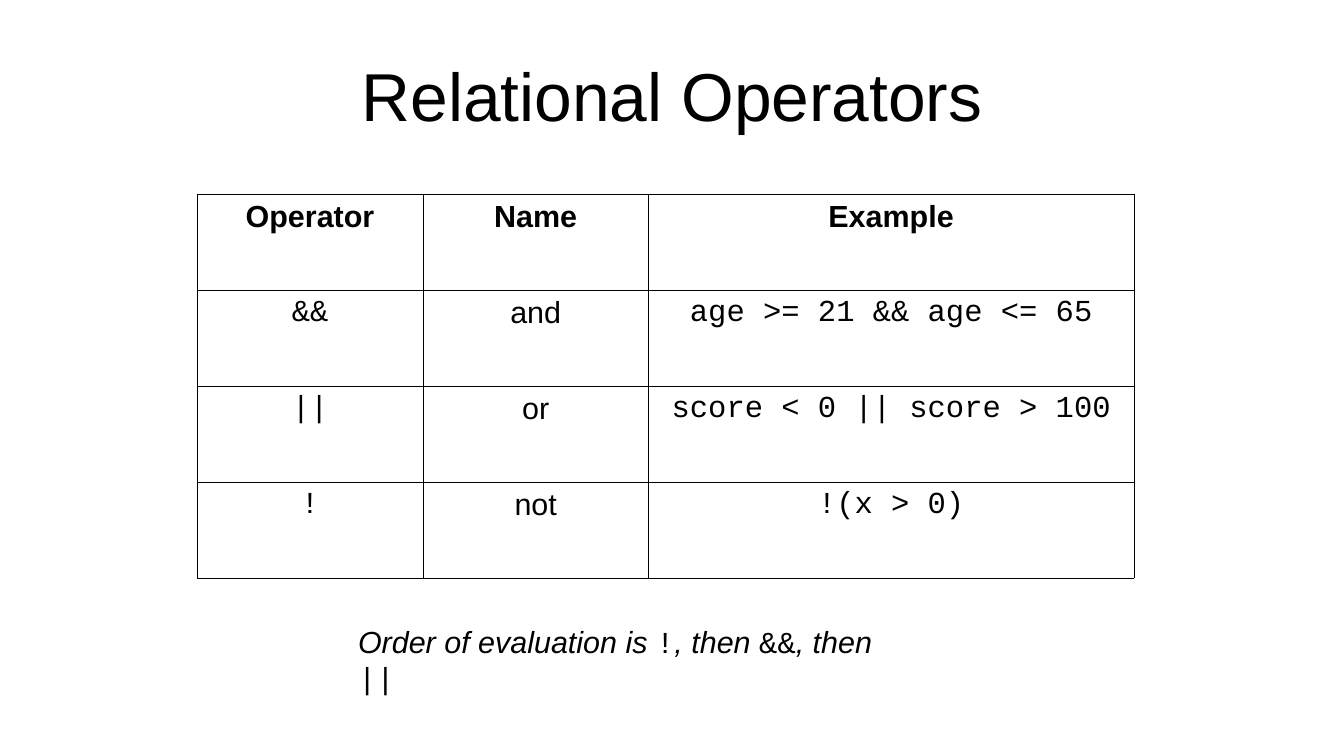
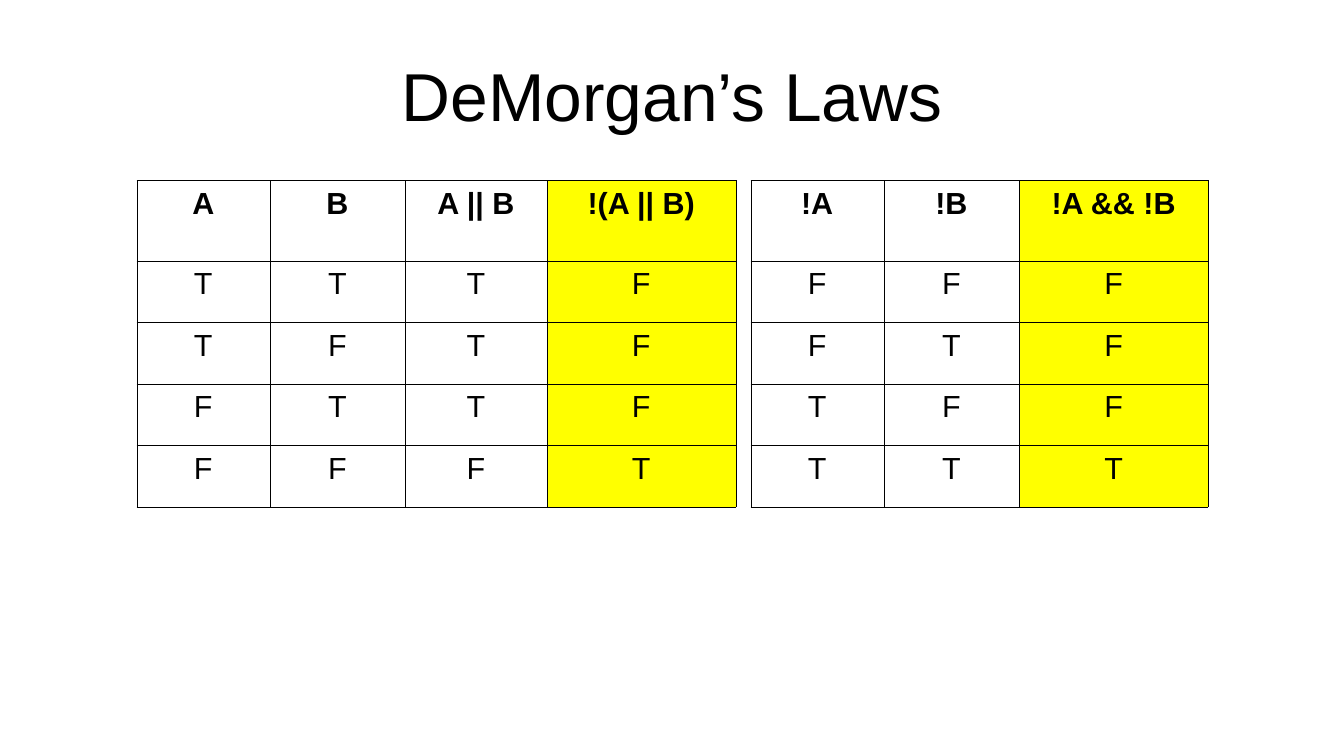
from itertools import product

from lxml import etree
from pptx import Presentation
from pptx.dml.color import RGBColor
from pptx.enum.text import MSO_ANCHOR, PP_ALIGN
from pptx.oxml.ns import qn
from pptx.util import Cm, Pt

CENTER, LEFT = PP_ALIGN.CENTER, PP_ALIGN.LEFT
MIDDLE = MSO_ANCHOR.MIDDLE
TITLE_ONLY = 5

# Shared style
BLACK, WHITE, YELLOW = "000000", "FFFFFF", "FFFF00"
SANS, MONO = "Arial", "Courier New"
TITLE_SIZE, BODY_SIZE = 40, 18
BORDER_WIDTH = 0.06


def color(value):
    return RGBColor.from_string(value)


def add_run(paragraph, text, font=SANS, size=BODY_SIZE, bold=False, italic=False):
    run = paragraph.add_run()
    run.text = text
    run.font.name = font
    run.font.size = Pt(size)
    run.font.bold = bold
    run.font.italic = italic
    run.font.color.rgb = color(BLACK)


def add_titled_slide(prs, heading):
    slide = prs.slides.add_slide(prs.slide_layouts[TITLE_ONLY])
    title = slide.shapes.title
    title.left, title.top, title.width, title.height = Cm(1.4), Cm(0.64), Cm(25.2), Cm(2.64)
    frame = title.text_frame
    frame.margin_left = frame.margin_right = frame.margin_top = frame.margin_bottom = 0
    frame.vertical_anchor = MIDDLE
    frame.word_wrap = True
    paragraph = frame.paragraphs[0]
    paragraph.alignment = CENTER
    add_run(paragraph, heading, size=TITLE_SIZE)
    return slide


def add_borders(cell):
    properties = cell._tc.get_or_add_tcPr()
    for side in ("a:lnL", "a:lnR", "a:lnT", "a:lnB"):
        line = etree.SubElement(properties, qn(side), w=str(int(Pt(BORDER_WIDTH))))
        fill = etree.SubElement(line, qn("a:solidFill"))
        etree.SubElement(fill, qn("a:srgbClr"), val=BLACK)


def add_grid(slide, left, top, widths, heights, rows, fonts, fills):
    """Table with a bold first row; body fonts and fills are given per column."""
    table = slide.shapes.add_table(
        len(rows), len(widths), Cm(left), Cm(top), Cm(sum(widths)), Cm(sum(heights))
    ).table
    for column, width in zip(table.columns, widths):
        column.width = Cm(width)
    for row, height in zip(table.rows, heights):
        row.height = Cm(height)
    for r, c in product(range(len(rows)), range(len(widths))):
        cell = table.cell(r, c)
        add_borders(cell)
        cell.fill.solid()
        cell.fill.fore_color.rgb = color(fills[c])
        paragraph = cell.text_frame.paragraphs[0]
        paragraph.alignment = CENTER
        is_header = r == 0
        add_run(paragraph, rows[r][c], font=SANS if is_header else fonts[c], bold=is_header)


def add_truth_table(slide, left, widths, rows):
    """Truth table whose last column is highlighted."""
    plain_columns = len(widths) - 1
    add_grid(slide, left, 3.76, widths, [1.68] + [1.28] * 4, rows,
             fonts=[SANS] * len(widths), fills=[WHITE] * plain_columns + [YELLOW])


def add_evaluation_note(slide):
    box = slide.shapes.add_textbox(Cm(7.21), Cm(12.85), Cm(12.14), Cm(1.02))
    box.text_frame.word_wrap = True
    paragraph = box.text_frame.paragraphs[0]
    paragraph.alignment = LEFT
    for text, font, italic in (
        ("Order of evaluation is ", SANS, True),
        ("!", MONO, False),
        (", then ", SANS, True),
        ("&&", MONO, False),
        (", then ", SANS, True),
        ("||", MONO, True),
    ):
        add_run(paragraph, text, font=font, italic=italic)


def build_operators(prs):
    slide = add_titled_slide(prs, "Relational Operators")
    operators = [
        ("Operator", "Name", "Example"),
        ("&&", "and", "age >= 21 && age <= 65"),
        ("||", "or", "score < 0 || score > 100"),
        ("!", "not", "!(x > 0)"),
    ]
    add_grid(slide, 4.11, 4.04, [4.7, 4.7, 10.11], [2] * 4, operators,
             fonts=[MONO, SANS, MONO], fills=[WHITE] * 3)
    add_evaluation_note(slide)


def truth_row(*values):
    return ["T" if value else "F" for value in values]


def build_demorgan(prs):
    slide = add_titled_slide(prs, "DeMorgan’s Laws")
    cases = list(product((True, False), repeat=2))
    negated_or = [["A", "B", "A || B", "!(A || B)"]]
    negated_or += [truth_row(a, b, a or b, not (a or b)) for a, b in cases]
    and_of_negated = [["!A", "!B", "!A && !B"]]
    and_of_negated += [truth_row(not a, not b, not a and not b) for a, b in cases]
    add_truth_table(slide, 2.85, [2.77, 2.82, 2.95, 3.94], negated_or)
    add_truth_table(slide, 15.64, [2.77, 2.82, 3.94], and_of_negated)


def main():
    prs = Presentation()
    prs.slide_width, prs.slide_height = Cm(28), Cm(15.75)
    build_operators(prs)
    build_demorgan(prs)
    prs.save("out.pptx")


if __name__ == "__main__":
    main()
